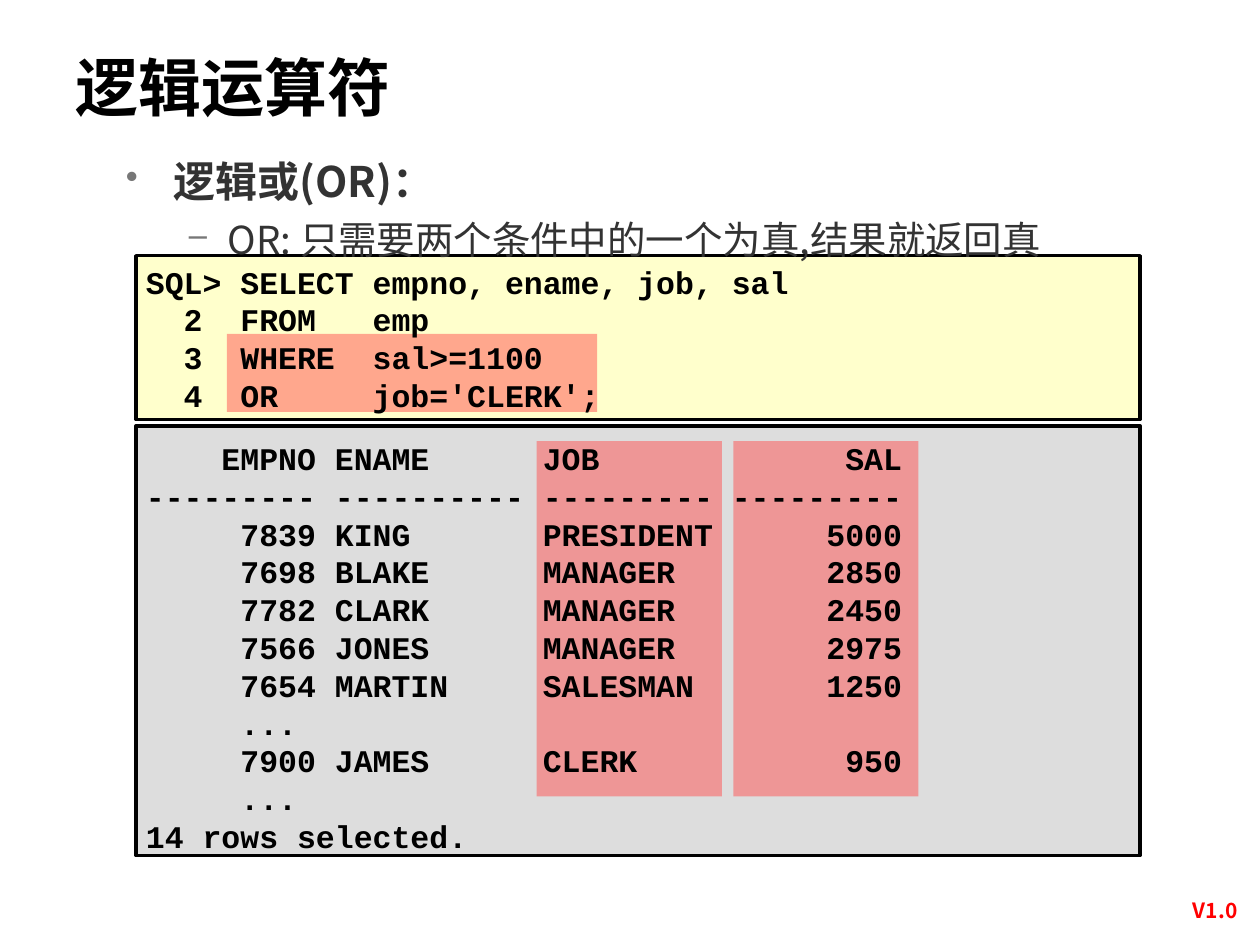
from lxml.etree import SubElement
from pptx import Presentation
from pptx.dml.color import RGBColor
from pptx.enum.shapes import MSO_SHAPE
from pptx.enum.text import MSO_ANCHOR, PP_ALIGN
from pptx.oxml.ns import qn
from pptx.util import Inches, Pt

BLACK = RGBColor(0x00, 0x00, 0x00)
DARK = RGBColor(0x33, 0x33, 0x33)
RED = RGBColor(0xFF, 0x00, 0x00)
CREAM = RGBColor(0xFF, 0xFF, 0xCC)
SILVER = RGBColor(0xDD, 0xDD, 0xDD)
CORAL = RGBColor(0xFF, 0x50, 0x50)
SANS = "Noto Sans CJK SC"
MONO = "Courier New"

QUERY = """\
SQL> SELECT empno, ename, job, sal
  2  FROM   emp
  3  WHERE  sal>=1100
  4  OR     job='CLERK';"""

RESULT = """\
    EMPNO ENAME      JOB             SAL
--------- ---------- --------- ---------
     7839 KING       PRESIDENT      5000
     7698 BLAKE      MANAGER        2850
     7782 CLARK      MANAGER        2450
     7566 JONES      MANAGER        2975
     7654 MARTIN     SALESMAN       1250
     ...
     7900 JAMES      CLERK           950
     ...
14 rows selected."""


class Deck:
    def __init__(self):
        self.prs = Presentation()
        self.prs.slide_width, self.prs.slide_height = Inches(10), Inches(7.5)
        self.s = self.prs.slides.add_slide(self.prs.slide_layouts[6])

    def rect(self, x, y, w, h, fill):
        sp = self.s.shapes.add_shape(
            MSO_SHAPE.RECTANGLE, Inches(x), Inches(y), Inches(w), Inches(h))
        sp.shadow.inherit = False
        sp.fill.solid()
        sp.fill.fore_color.rgb = fill
        return sp

    def panel(self, x, y, w, h, fill):
        sp = self.rect(x, y, w, h, fill)
        sp.line.color.rgb = BLACK
        sp.line.width = Pt(2)

    def highlight(self, x, y, w, h):
        sp = self.rect(x, y, w, h, CORAL)
        sp.line.fill.background()
        color = sp._element.spPr.find(".//" + qn("a:srgbClr"))
        SubElement(color, qn("a:alpha"), val="50000")

    def box(self, x, y, w, h, anchor=MSO_ANCHOR.TOP):
        tf = self.s.shapes.add_textbox(
            Inches(x), Inches(y), Inches(w), Inches(h)).text_frame
        tf.word_wrap = True
        tf.vertical_anchor = anchor
        return tf

    def run(self, p, text, size, font=SANS, color=BLACK, bold=True):
        r = p.add_run()
        r.text = text
        r.font.size, r.font.name, r.font.bold = Pt(size), font, bold
        r.font.color.rgb = color
        SubElement(r._r.get_or_add_rPr(), qn("a:ea"), typeface=font)

    def line(self, x, y, w, h, text, size, color=BLACK, align=PP_ALIGN.LEFT):
        p = self.box(x, y, w, h, MSO_ANCHOR.MIDDLE).paragraphs[0]
        p.alignment = align
        self.run(p, text, size, color=color)

    def code(self, x, y, w, h, text):
        tf = self.box(x, y, w, h, MSO_ANCHOR.MIDDLE)
        for i, row in enumerate(text.split("\n")):
            p = tf.add_paragraph() if i else tf.paragraphs[0]
            p.line_spacing = Pt(21.6)
            self.run(p, row, 18, MONO)

    def bullets(self, x, y, w, h, items):
        tf = self.box(x, y, w, h)
        for i, (text, char, size, bold, left, hang, spacing) in enumerate(items):
            p = tf.add_paragraph() if i else tf.paragraphs[0]
            p.level = i
            p.line_spacing = Pt(spacing)
            pPr = p._p.get_or_add_pPr()
            pPr.set("marL", str(Inches(left)))
            pPr.set("indent", str(-Inches(hang)))
            color = SubElement(pPr, qn("a:buClr"))
            SubElement(color, qn("a:srgbClr"), val="777777")
            SubElement(pPr, qn("a:buSzPct"), val="85000")
            SubElement(pPr, qn("a:buChar"), char=char)
            self.run(p, text, size, color=DARK, bold=bold)


def main():
    deck = Deck()
    deck.line(9.25, 7.07, 0.79, 0.3, "V1.0", 12, RED, PP_ALIGN.CENTER)
    deck.panel(1.08, 2.03, 7.97, 1.3, CREAM)
    deck.panel(1.08, 3.38, 7.97, 3.41, SILVER)
    deck.line(0.5, 0.3, 7.97, 0.77, "逻辑运算符", 36)
    deck.highlight(1.8, 2.65, 2.94, 0.62)
    for x in (4.26, 5.82):
        deck.highlight(x, 3.5, 1.47, 2.82)
    deck.code(1.06, 2.02, 8, 1.33, QUERY)
    deck.code(1.06, 3.57, 8, 3.13, RESULT)
    deck.bullets(0.9, 1.07, 8.6, 1.47, [
        ("逻辑或(OR)：", "•", 24, True, 0.38, 0.38, 37),
        ("OR: 只需要两个条件中的一个为真,结果就返回真", "–", 22, False, 0.81, 0.31, 32),
    ])
    deck.prs.save("out.pptx")


if __name__ == "__main__":
    main()
